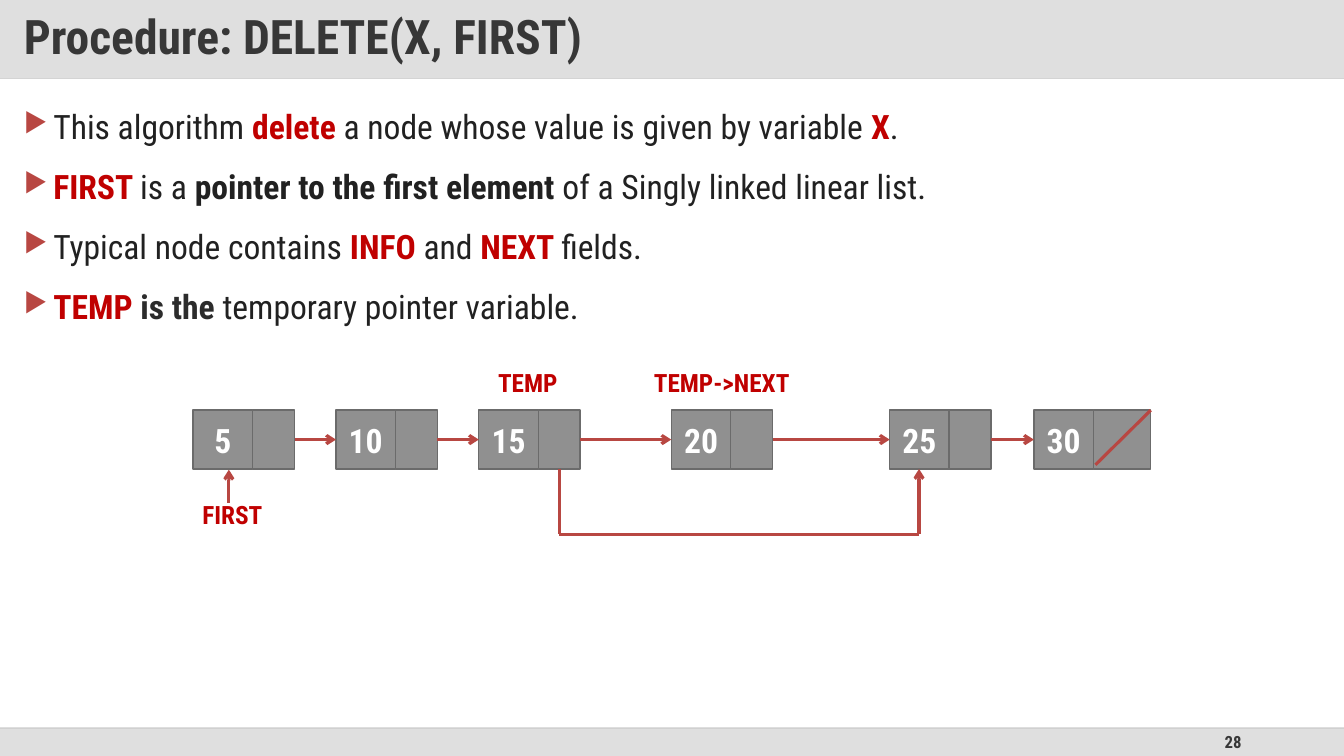
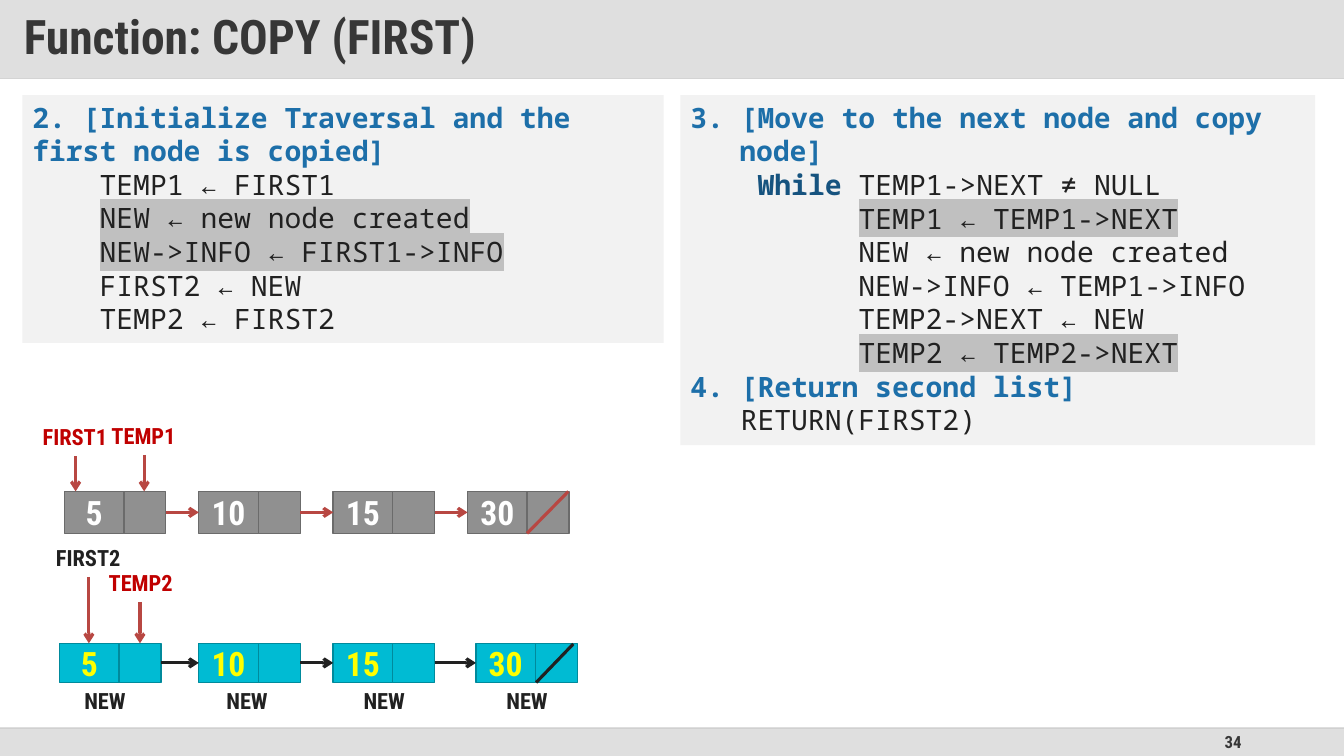
from dataclasses import dataclass
from itertools import pairwise

from lxml import etree
from pptx import Presentation
from pptx.dml.color import RGBColor
from pptx.enum.shapes import MSO_CONNECTOR, MSO_SHAPE
from pptx.enum.text import MSO_ANCHOR, PP_ALIGN
from pptx.oxml.ns import qn
from pptx.util import Pt

RECT, STRAIGHT = MSO_SHAPE.RECTANGLE, MSO_CONNECTOR.STRAIGHT
TOP, MIDDLE = MSO_ANCHOR.TOP, MSO_ANCHOR.MIDDLE
LEFT, CENTER = PP_ALIGN.LEFT, PP_ALIGN.CENTER
RIGHT, JUSTIFY = PP_ALIGN.RIGHT, PP_ALIGN.JUSTIFY

COLORS = {
    "band": "C0C0C0", "footer": "DFDFDF", "title": "373737",
    "title_rule": "D9D9D9", "footer_rule": "BFBFBF",
    "ink": "212121", "soft_ink": "2C2C2C", "key": "C00000", "arrow": "B84742",
    "panel": "F2F2F2", "step": "1D6FA9", "keyword": "16537F", "mark": "C0C0C0",
    "gray": "909090", "gray_line": "6B6B6B", "white": "FFFFFF",
    "cyan": "00BBD3", "cyan_line": "008A9C", "yellow": "FFFF00",
}
SANS, MONO = "Roboto Condensed", "Noto Sans Mono"
WIDTH, HEIGHT = 960, 540
TITLE_H, FOOTER_Y = 56, 520
INFO_W, NEXT_W = 42.5, 30
LABEL_W = 120


@dataclass(frozen=True)
class Run:
    text: str
    color: str = "ink"
    bold: bool = False
    mark: bool = False


@dataclass(frozen=True)
class Label:
    text: str
    cx: float
    y: float
    color: str = "key"


@dataclass(frozen=True)
class NodeStyle:
    fill: str
    line: str
    text: str
    arrow: str


@dataclass(frozen=True)
class LinkedList:
    values: tuple[int, ...]
    xs: tuple[float, ...]
    y: float
    h: float
    style: NodeStyle
    slash: tuple[float, float, float, float]
    last_w: float = NEXT_W


GRAY = NodeStyle("gray", "gray_line", "white", "arrow")
CYAN = NodeStyle("cyan", "cyan_line", "yellow", "ink")


# Drawing helpers
def rgb(name: str) -> RGBColor:
    return RGBColor.from_string(COLORS[name])


def add_child(parent, tag: str, **attrs: str):
    return etree.SubElement(parent, qn(tag), attrs)


def set_alpha(element, percent: int) -> None:
    color = next(element.iter(qn("a:srgbClr")))
    add_child(color, "a:alpha", val=str(percent * 1000))


def add_rect(slide, x: float, y: float, w: float, h: float, fill: str, line: str = ""):
    sp = slide.shapes.add_shape(RECT, Pt(x), Pt(y), Pt(w), Pt(h))
    sp.shadow.inherit = False
    sp.fill.solid()
    sp.fill.fore_color.rgb = rgb(fill)
    if line:
        sp.line.color.rgb = rgb(line)
        sp.line.width = Pt(1)
    else:
        sp.line.fill.background()
    return sp


def add_box(slide, x: float, y: float, w: float, h: float):
    return slide.shapes.add_textbox(Pt(x), Pt(y), Pt(w), Pt(h))


def set_frame(sp, anchor, wrap: bool = True, inset_x: float = 7.2, inset_y: float = 3.6):
    tf = sp.text_frame
    tf.word_wrap = wrap
    tf.vertical_anchor = anchor
    tf.margin_left = tf.margin_right = Pt(inset_x)
    tf.margin_top = tf.margin_bottom = Pt(inset_y)
    return tf


def style_paragraph(p, size: float, align=LEFT, font: str = SANS,
                    color: str = "", bold: bool | None = None) -> None:
    p.alignment = align
    p.font.name, p.font.size = font, Pt(size)
    p.font.bold = bold
    if color:
        p.font.color.rgb = rgb(color)


def write_line(tf, text: str, size: float, color: str, align=LEFT):
    p = tf.paragraphs[0]
    p.text = text
    style_paragraph(p, size, align, color=color, bold=True)
    return p


def add_runs(p, runs: list[Run]) -> None:
    for run in runs:
        r = p.add_run()
        r.text = run.text
        r.font.bold = run.bold
        r.font.color.rgb = rgb(run.color)
        if run.mark:
            highlight = add_child(r.font._element, "a:highlight")
            add_child(highlight, "a:srgbClr", val=COLORS["mark"])


def add_paragraphs(tf, count: int) -> list:
    return [tf.paragraphs[0]] + [tf.add_paragraph() for _ in range(count - 1)]


def set_indent(p, hang: float):
    pPr = p._p.get_or_add_pPr()
    pPr.set("marL", str(Pt(hang)))
    pPr.set("indent", str(-Pt(hang)))
    return pPr


def add_line(slide, x1: float, y1: float, x2: float, y2: float,
             color: str = "arrow", width: float = 2.25, head: bool = False):
    line = slide.shapes.add_connector(STRAIGHT, Pt(x1), Pt(y1), Pt(x2), Pt(y2))
    line.line.color.rgb = rgb(color)
    line.line.width = Pt(width)
    spPr = line._element.spPr
    if head:
        add_child(spPr.find(qn("a:ln")), "a:tailEnd", type="arrow")
    add_child(spPr, "a:effectLst")
    return line


# Parts shared by the slides
def add_slide(prs, title: str, number: int):
    slide = prs.slides.add_slide(prs.slide_layouts[6])
    add_rect(slide, 0, FOOTER_Y, WIDTH, HEIGHT - FOOTER_Y, "footer")
    tf = set_frame(add_box(slide, 678, FOOTER_Y, 216, HEIGHT - FOOTER_Y), MIDDLE)
    write_line(tf, str(number), 12, "title", RIGHT)
    add_line(slide, 0, TITLE_H, WIDTH, TITLE_H, "title_rule", 1)
    rule = add_line(slide, 0, FOOTER_Y, WIDTH, FOOTER_Y, "footer_rule", 1)
    set_alpha(rule._element, 70)
    band = add_rect(slide, 0, 0, WIDTH, TITLE_H, "band")
    set_alpha(band._element, 50)
    tf = set_frame(band, MIDDLE, inset_x=17, inset_y=8.5)
    write_line(tf, title, 34, "title").line_spacing = 0.9
    return slide


def add_bullets(slide, items: list[list[Run]]) -> None:
    tf = set_frame(add_box(slide, 10, 68.2, 940, 440), TOP)
    for i, (p, runs) in enumerate(zip(add_paragraphs(tf, len(items)), items)):
        pPr = set_indent(p, 21)
        add_child(add_child(pPr, "a:buClr"), "a:srgbClr", val=COLORS["arrow"])
        add_child(pPr, "a:buSzPct", val="80000")
        add_child(pPr, "a:buChar", char="▶")
        style_paragraph(p, 24, JUSTIFY)
        p.line_spacing = 1.14
        if i:
            p.space_before = Pt(10)
        add_runs(p, runs)


def add_code(slide, x: float, w: float, h: float, lines: list[list[Run]],
             hang: float = 0) -> None:
    tf = set_frame(add_rect(slide, x, 68, w, h, "panel"), TOP)
    for i, (p, runs) in enumerate(zip(add_paragraphs(tf, len(lines)), lines)):
        if hang and i == 0:
            set_indent(p, hang)
        style_paragraph(p, 20, font=MONO)
        add_runs(p, runs)


def add_list(slide, chain: LinkedList) -> None:
    style, mid = chain.style, chain.y + chain.h / 2
    for value, x in zip(chain.values, chain.xs):
        info = add_rect(slide, x, chain.y, INFO_W, chain.h, style.fill, style.line)
        tf = set_frame(info, MIDDLE, False, 0, 0)
        write_line(tf, str(value), 24, style.text, CENTER)
        next_w = chain.last_w if x == chain.xs[-1] else NEXT_W
        add_rect(slide, x + INFO_W, chain.y, next_w, chain.h, style.fill, style.line)
    for x, next_x in pairwise(chain.xs):
        add_line(slide, x + INFO_W + NEXT_W, mid, next_x, mid, style.arrow, head=True)
    add_line(slide, *chain.slash, style.arrow)


def add_labels(slide, labels: list[Label], size: float) -> None:
    h = size * 1.2 + 7.2
    for label in labels:
        sp = add_box(slide, label.cx - LABEL_W / 2, label.y, LABEL_W, h)
        write_line(set_frame(sp, TOP, False), label.text, size, label.color, CENTER)


# Slides
def build_delete(prs) -> None:
    slide = add_slide(prs, "Procedure: DELETE(X, FIRST)", 28)
    add_bullets(slide, [
        [Run("This algorithm "), Run("delete ", "key", True),
         Run("a node whose value is given by variable "),
         Run("X", "key", True), Run(".")],
        [Run("FIRST ", "key", True), Run("is a "),
         Run("pointer to the first element", bold=True),
         Run(" of a Singly linked linear list.")],
        [Run("Typical node contains "), Run("INFO ", "key", True), Run("and "),
         Run("NEXT ", "key", True), Run("fields.")],
        [Run("TEMP ", "key", True), Run("is the", "soft_ink", True),
         Run(" temporary pointer variable.")],
    ])
    add_list(slide, LinkedList((5, 10, 15, 20, 25, 30), (138, 240, 342, 479.5, 635.5, 738.5),
                               293, 42, GRAY, (782.5, 332, 822, 293), 41))
    add_labels(slide, [Label("FIRST", 166, 353), Label("TEMP", 377, 258.5),
                       Label("TEMP->NEXT", 515.5, 258.5)], 18)
    add_line(slide, 163.5, 359, 163.5, 335.5, head=True)
    # Bypass around the deleted node
    bypass = [(399.5, 335), (399.5, 381.5), (656.5, 381.5), (656.5, 335)]
    for start, end in pairwise(bypass):
        add_line(slide, *start, *end, head=end == bypass[-1])


def build_copy(prs) -> None:
    slide = add_slide(prs, "Function: COPY (FIRST)", 34)
    pad, deep = Run("    "), Run("          ")
    add_code(slide, 16, 458, 177, [
        [Run("2. [Initialize Traversal and the first node is copied]", "step", True)],
        [pad, Run("TEMP1 ← FIRST1")],
        [pad, Run("NEW ← new node created", mark=True)],
        [pad, Run("NEW->INFO ← FIRST1->INFO", mark=True)],
        [pad, Run("FIRST2 ← NEW")],
        [pad, Run("TEMP2 ← FIRST2")],
    ])
    add_code(slide, 486, 453.5, 250, [
        [Run("3. [Move to the next node and copy node]", "step", True)],
        [pad, Run("While ", "keyword", True), Run("TEMP1->NEXT ≠ NULL")],
        [deep, Run("TEMP1 ← TEMP1->NEXT", mark=True)],
        [deep, Run("NEW ← new node created")],
        [deep, Run("NEW->INFO ← TEMP1->INFO")],
        [deep, Run("TEMP2->NEXT ← NEW")],
        [deep, Run("TEMP2 ← TEMP2->NEXT", mark=True)],
        [Run("4. [Return second list]", "step", True)],
        [Run("   RETURN(FIRST2)")],
    ], 35)
    # Source list and its copied nodes
    values = (5, 10, 15, 30)
    add_list(slide, LinkedList(values, tuple(46 + 96 * i for i in range(4)),
                               351, 30, GRAY, (376.5, 381, 406, 351)))
    add_list(slide, LinkedList(values, (42.5, 142, 238, 340),
                               459.5, 28, CYAN, (383, 487.5, 409.5, 460)))
    add_labels(slide, [Label("FIRST1", 53.5, 299), Label("TEMP1", 102.5, 298),
                       Label("FIRST2", 63, 385, "ink"), Label("TEMP2", 100.5, 403)]
               + [Label("NEW", cx, 487, "ink") for cx in (75, 176.5, 274.5, 376.5)], 16)
    for x, top, bottom in ((54, 326, 351), (103, 325, 351),
                           (63.5, 412, 459.5), (100, 430, 459.5)):
        add_line(slide, x, top, x, bottom, head=True)


def main() -> None:
    prs = Presentation()
    prs.slide_width, prs.slide_height = Pt(WIDTH), Pt(HEIGHT)
    build_delete(prs)
    build_copy(prs)
    prs.save("out.pptx")


if __name__ == "__main__":
    main()
